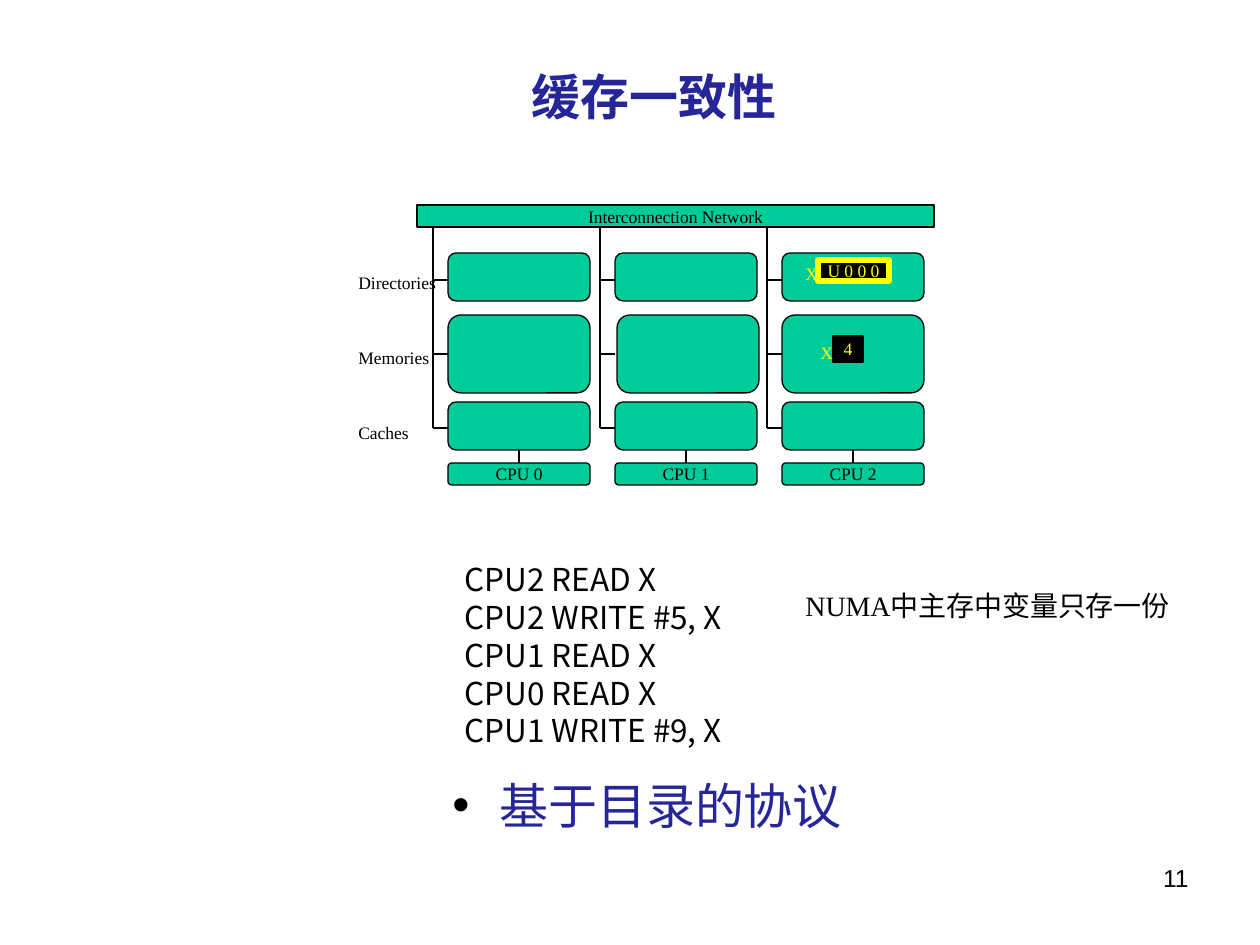
"""Build the slide on directory-based cache coherence."""
from dataclasses import dataclass

from lxml.etree import SubElement
from pptx import Presentation
from pptx.dml.color import RGBColor
from pptx.enum.shapes import MSO_CONNECTOR as Connector, MSO_SHAPE as Shape
from pptx.enum.text import MSO_ANCHOR as Anchor, PP_ALIGN as Align
from pptx.oxml.ns import qn
from pptx.util import Emu, Pt

SCALE = 914400 / 126


def px(length):
    return Emu(round(length * SCALE))


@dataclass(frozen=True)
class Theme:
    ink: str = "000000"
    heading: str = "262699"
    block: str = "00CC99"
    value: str = "FFFF00"
    serif: str = "Times New Roman"
    sans: str = "Arial"
    cjk: str = "Noto Sans CJK SC"
    heading_size: int = 28
    code_size: int = 18
    note_size: int = 16
    number_size: int = 14
    label_size: int = 10
    line: float = 0.75
    frame: float = 3


class SlideBuilder:
    def __init__(self, slide, theme):
        self.slide = slide
        self.theme = theme

    def add_words(self, paragraph, words, size, color, font, bold=False):
        run = paragraph.add_run()
        run.text = words
        run.font.size = Pt(size)
        run.font.bold = bold
        run.font.color.rgb = RGBColor.from_string(color)
        run.font.name = font
        SubElement(run.font._element, qn("a:ea")).set("typeface", self.theme.cjk)

    def text(self, area, lines, size=None, color=None, font=None, bold=False,
             align=Align.LEFT, anchor=Anchor.TOP, wrap=True, spacing=None, bullet=None):
        theme = self.theme
        frame = self.slide.shapes.add_textbox(*map(px, area)).text_frame
        frame.word_wrap = wrap
        frame.vertical_anchor = anchor
        for index, words in enumerate(lines):
            paragraph = frame.add_paragraph() if index else frame.paragraphs[0]
            paragraph.alignment = align
            if spacing:
                paragraph.line_spacing = Pt(spacing)
            if bullet:
                self.add_bullet(paragraph, bullet)
            self.add_words(paragraph, words, size or theme.label_size,
                           color or theme.ink, font or theme.serif, bold)

    def add_bullet(self, paragraph, mark):
        properties = paragraph._p.get_or_add_pPr()
        properties.set("marL", str(px(47)))
        properties.set("indent", str(px(-47)))
        color = SubElement(properties, qn("a:buClr"))
        SubElement(color, qn("a:srgbClr")).set("val", self.theme.ink)
        SubElement(properties, qn("a:buFont")).set("typeface", self.theme.sans)
        SubElement(properties, qn("a:buChar")).set("char", mark)

    def box(self, area, words="", kind=Shape.ROUNDED_RECTANGLE, fill=None,
            border=None, width=None, color=None):
        theme = self.theme
        block = self.slide.shapes.add_shape(kind, *map(px, area))
        block.shadow.inherit = False
        block.fill.solid()
        block.fill.fore_color.rgb = RGBColor.from_string(fill or theme.block)
        block.line.color.rgb = RGBColor.from_string(border or theme.ink)
        block.line.width = Pt(width or theme.line)
        if words:
            frame = block.text_frame
            frame.word_wrap = False
            frame.vertical_anchor = Anchor.MIDDLE
            frame.margin_top = frame.margin_bottom = 0
            frame.paragraphs[0].alignment = Align.CENTER
            self.add_words(frame.paragraphs[0], words, theme.label_size,
                           color or theme.ink, theme.serif)
        return block

    def line(self, start, end, source=None, target=None):
        wire = self.slide.shapes.add_connector(
            Connector.STRAIGHT, *map(px, (*start, *end)))
        wire.line.color.rgb = RGBColor.from_string(self.theme.ink)
        wire.line.width = Pt(self.theme.line)
        SubElement(wire._element.spPr, qn("a:effectLst"))
        if source:
            wire.begin_connect(*source)
        if target:
            wire.end_connect(*target)


def draw_node(builder, number):
    left = 448 + 167 * number
    bus, center = left - 15, left + 71
    memory_shift = 2 if number == 1 else 0
    builder.box((left, 253, 142, 48))
    memory = builder.box((left + memory_shift, 315, 142, 78))
    cache = builder.box((left, 402, 142, 48))
    cpu = builder.box((left, 463, 142, 22), f"CPU {number}")
    builder.line((bus, 227), (bus, 428))
    for level in (428, 280):
        builder.line((bus, level), (left, level))
    builder.line((bus, 354), (left, 354),
                 target=None if memory_shift else (memory, 1))
    builder.line((center, 450), (center, 463), (cache, 2), (cpu, 0))


def main():
    theme = Theme()
    deck = Presentation()
    deck.slide_width, deck.slide_height = px(1260), px(945)
    builder = SlideBuilder(deck.slides.add_slide(deck.slide_layouts[6]), theme)

    builder.text((82, 28, 1144, 136), ["缓存一致性"], theme.heading_size, theme.heading,
                 theme.cjk, bold=True, align=Align.CENTER, anchor=Anchor.MIDDLE)
    builder.text((939, 857, 262, 63), ["11"], theme.number_size, font=theme.sans,
                 align=Align.RIGHT)
    builder.text((440, 769, 431, 105), ["基于目录的协议"], theme.heading_size,
                 theme.heading, theme.cjk, bullet="•")

    builder.box((417, 205, 517, 22), "Interconnection Network", Shape.RECTANGLE)
    for number in range(3):
        draw_node(builder, number)

    builder.box((833, 336, 30, 26), "4", Shape.RECTANGLE, theme.ink, color=theme.value)
    levels = (("Caches", 416, 77), ("Memories", 341, 97), ("Directories", 266, 105))
    for level, top, width in levels:
        builder.text((346, top, width, 34), [level], wrap=False)
    for left, top in ((808, 336), (793, 257)):
        builder.text((left, top, 38, 34), ["X"], color=theme.value, wrap=False)
    builder.box((818, 260, 71, 21), "U 0 0 0", Shape.RECTANGLE, theme.ink,
                theme.value, theme.frame, theme.value)

    accesses = ["CPU2 READ X", "CPU2 WRITE #5, X", "CPU1 READ X",
                "CPU0 READ X", "CPU1 WRITE #9, X"]
    builder.text((452, 554, 382, 204), accesses, theme.code_size, font=theme.cjk,
                 align=Align.JUSTIFY, spacing=21.6)
    builder.text((793, 582, 445, 47), ["NUMA中主存中变量只存一份"], theme.note_size)
    deck.save("out.pptx")


if __name__ == "__main__":
    main()
